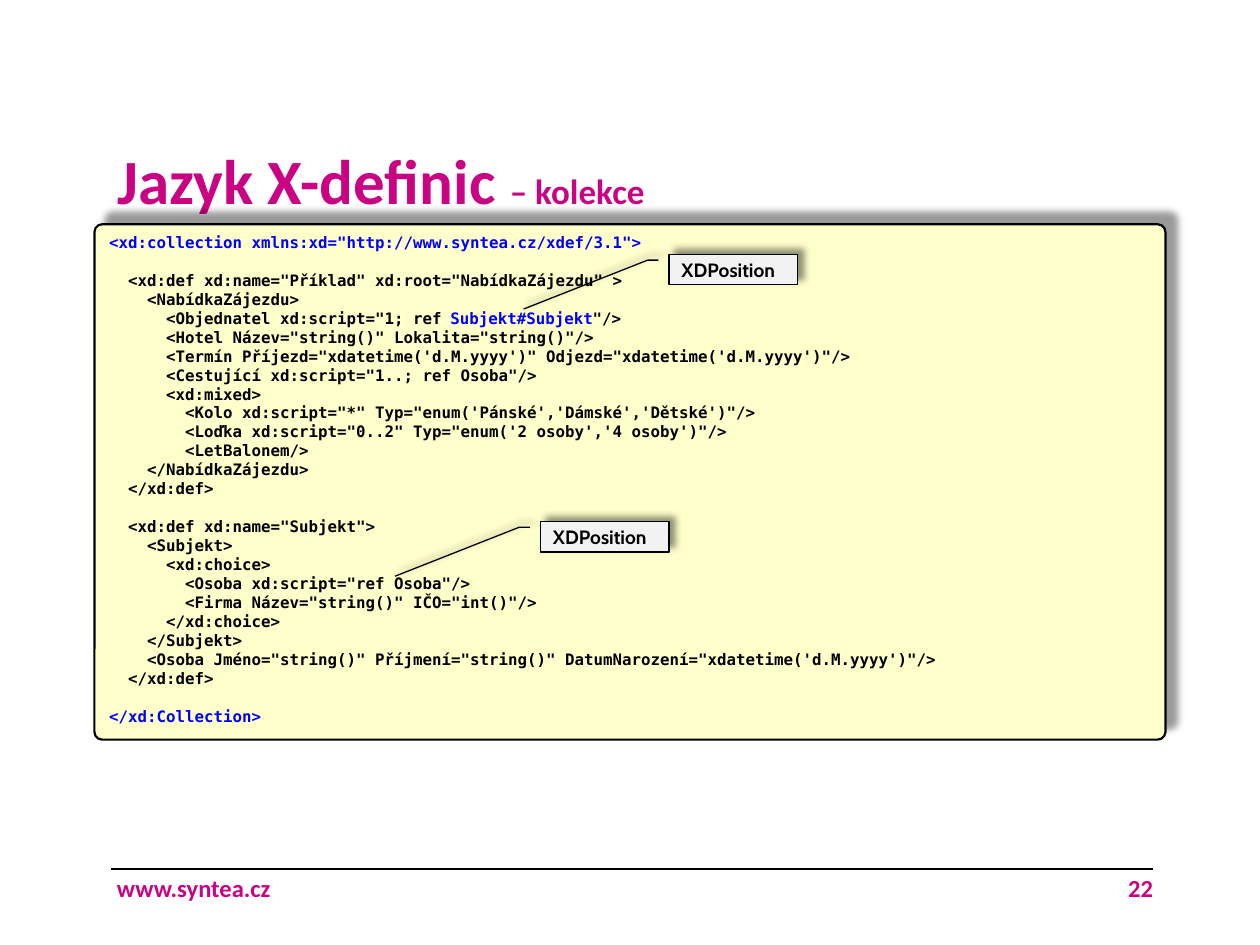
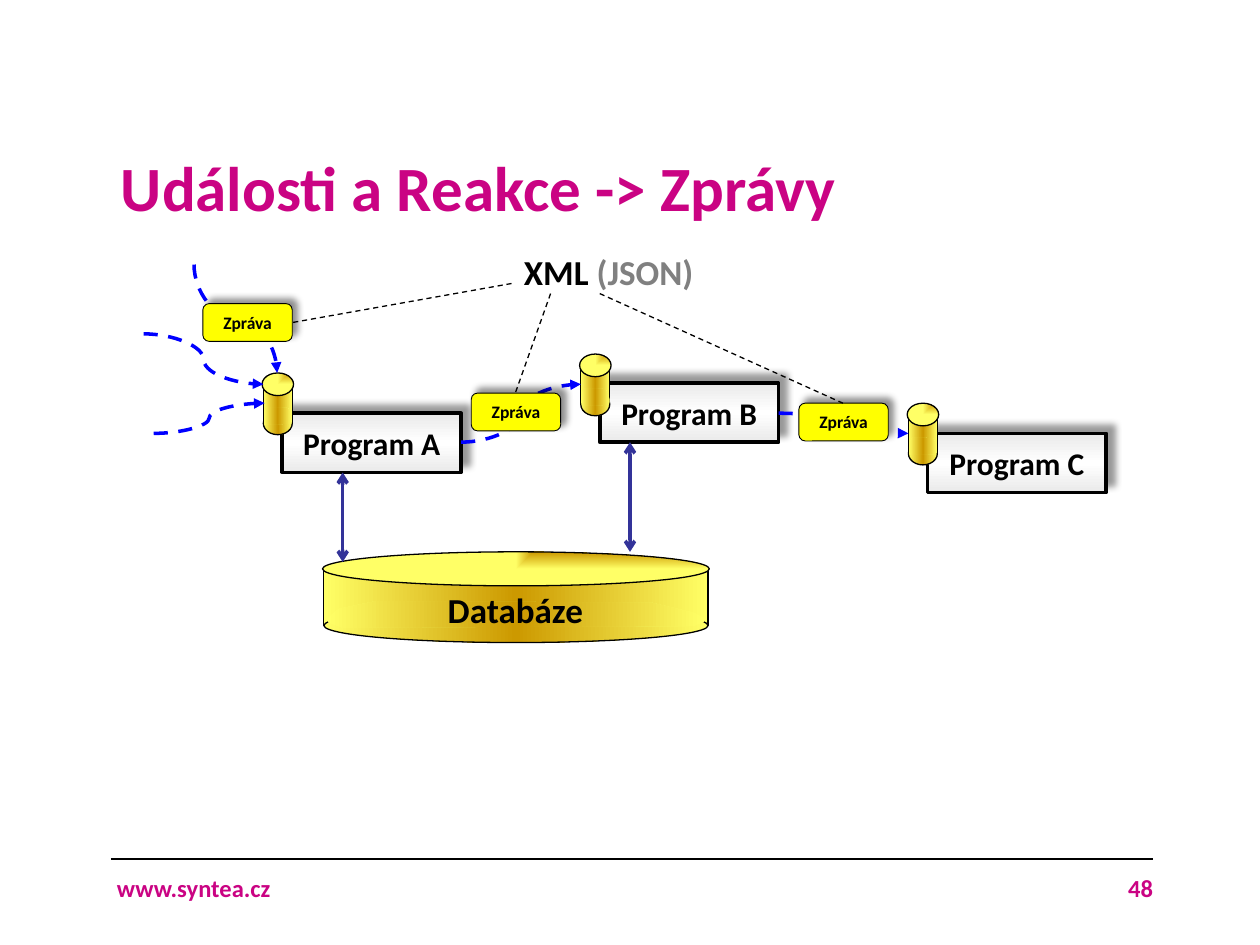
from pptx import Presentation
from pptx import util as u
from pptx.dml.color import RGBColor
from pptx.enum import dml, shapes, text
from pptx.oxml import parse_xml
from pptx.oxml.ns import nsdecls, qn

# Shared look
MAGENTA, BLACK, BLUE, GREY = "CA0383", "000000", "0000FF", "808080"
INDIGO, CREAM, YELLOW, PALE = "333399", "FFFFCC", "FFFF00", "F2F2F2"
SILVER = [(0, "EAEAEA"), (50, "FFFFFF"), (100, "EAEAEA")]
GOLD = [(0, "FFFF66"), (50, "CC9900"), (100, "FFFF66")]
LID = [(0, "CC9900"), (100, "FFFF66")]
FACE, CODE_FACE, LABEL_FACE = "Calibri", "DejaVu Sans Mono", "Cabin"
COLS, ROWS = 10, 7.5  # slide grid, one inch per cell
MARGINS = (0.1, 0.05, 0.1, 0.05)
SHAPE, ALIGN, ANCHOR = shapes.MSO_SHAPE, text.PP_ALIGN, text.MSO_ANCHOR

# Code listing, with a gap before each further block
OPENING = '<xd:collection xmlns:xd="http://www.syntea.cz/xdef/3.1">'
TRIP = """  <xd:def xd:name="Příklad" xd:root="NabídkaZájezdu" >
    <NabídkaZájezdu>
      <Objednatel xd:script="1; ref Subjekt#Subjekt"/>
      <Hotel Název="string()" Lokalita="string()"/>
      <Termín Příjezd="xdatetime('d.M.yyyy')" Odjezd="xdatetime('d.M.yyyy')"/>
      <Cestující xd:script="1..; ref Osoba"/>
      <xd:mixed>
        <Kolo xd:script="*" Typ="enum('Pánské','Dámské','Dětské')"/>
        <Loďka xd:script="0..2" Typ="enum('2 osoby','4 osoby')"/>
        <LetBalonem/>
    </NabídkaZájezdu>
  </xd:def>"""
SUBJECT = """  <xd:def xd:name="Subjekt">
    <Subjekt>
      <xd:choice>
        <Osoba xd:script="ref Osoba"/>
        <Firma Název="string()" IČO="int()"/>
      </xd:choice>
    </Subjekt>
    <Osoba Jméno="string()" Příjmení="string()" DatumNarození="xdatetime('d.M.yyyy')"/>
  </xd:def>"""
CLOSING = "</xd:Collection>"
BLUE_CODE = (OPENING, "Subjekt#Subjekt", CLOSING)

# Outline of the patch that hides a can's lower edge, as shares of its box
PATCH = [(0.03, 0.29), (0, 0.63), (0, 0.8), (0.04, 1), (0.97, 0.94), (1, 0.8),
         (1, 0.63), (0.97, 0.43), (0.86, 0.06), (0.13, 0)]


def rgb(color):
    return RGBColor.from_string(color)


def grid(*cells):
    return [u.Inches(c) for c in cells]


# Text
def style(font, size=None, color=None, face=None):
    font.bold = True
    if size:
        font.size = u.Pt(size)
    if color:
        font.color.rgb = rgb(color)
    if face:
        font.name = face


def write(p, parts, size, color=BLACK, face=FACE, align=ALIGN.LEFT):
    """Fill a paragraph with (text, own style) parts."""
    p.alignment = align
    style(p.font, size, color, face)
    for words, own in parts:
        r = p.add_run()
        r.text = words
        if own:
            style(r.font, **own)


def frame(sp, anchor=ANCHOR.TOP, margins=MARGINS):
    tf = sp.text_frame
    tf.word_wrap = True
    tf.auto_size = text.MSO_AUTO_SIZE.NONE
    tf.vertical_anchor = anchor
    tf.margin_left, tf.margin_top, tf.margin_right, tf.margin_bottom = grid(*margins)
    return tf


def add_text(slide, box, parts, size, color=BLACK, align=ALIGN.LEFT, anchor=ANCHOR.TOP):
    tf = frame(slide.shapes.add_textbox(*grid(*box)), anchor)
    write(tf.paragraphs[0], parts, size, color, align=align)


# Shapes
def fill_gradient(sp, stops, angle=None):
    """Linear gradient at an angle, or from the lower left corner without one."""
    gs = "".join(f'<a:gs pos="{pos * 1000}"><a:srgbClr val="{color}"/></a:gs>'
                 for pos, color in stops)
    if angle is None:
        way = '<a:path path="rect"><a:fillToRect l="100000" b="100000"/></a:path>'
    else:
        way = f'<a:lin ang="{angle * 60000}" scaled="0"/>'
    sp.fill.solid()
    spPr = sp._element.spPr
    spPr.replace(spPr.find(qn("a:solidFill")), parse_xml(
        f'<a:gradFill {nsdecls("a")} rotWithShape="1"><a:gsLst>{gs}</a:gsLst>{way}</a:gradFill>'))


def paint(sp, fill, line_width, angle=None):
    sp.shadow.inherit = False
    if isinstance(fill, str):
        sp.fill.solid()
        sp.fill.fore_color.rgb = rgb(fill)
    else:
        fill_gradient(sp, fill, angle)
    if line_width:
        sp.line.color.rgb = rgb(BLACK)
        sp.line.width = u.Pt(line_width)
    else:
        sp.line.fill.background()


def cast_shadow(sp, distance, opacity):
    """Shadow towards the upper right."""
    sp._element.spPr.find(qn("a:effectLst")).append(parse_xml(
        f'<a:outerShdw {nsdecls("a")} blurRad="{u.Pt(4)}" dist="{u.Pt(distance)}" '
        f'dir="18900000" algn="bl" rotWithShape="0"><a:srgbClr val="{BLACK}">'
        f'<a:alpha val="{opacity * 1000}"/></a:srgbClr></a:outerShdw>'))


def add_shape(parent, kind, box, fill, line_width, angle=None, adjust=()):
    sp = parent.shapes.add_shape(kind, *grid(*box))
    for i, value in enumerate(adjust):
        sp.adjustments[i] = value
    paint(sp, fill, line_width, angle)
    return sp


def add_can(slide, x, y, w, body, lid):
    """Cylinder: body, base, patch over the seam, and lid."""
    group = slide.shapes.add_group_shape()
    add_shape(group, SHAPE.RECTANGLE, (x, y + lid / 2, w, body), GOLD, 0.75, 0)
    add_shape(group, SHAPE.OVAL, (x, y + body, w, lid), GOLD, 0.75, 0)
    left, top = x + 0.01 * w, y + body - 0.22 * lid
    points = [grid(left + px * 0.98 * w, top + py * 0.78 * lid) for px, py in PATCH]
    builder = group.shapes.build_freeform(*points[0])
    builder.add_line_segments(points[1:], close=True)
    paint(builder.convert_to_shape(), GOLD, None, 0)
    add_shape(group, SHAPE.OVAL, (x - 0.01, y, w + 0.02, lid), LID, 0.75)


# Lines
def add_line(slide, start, end, color=BLACK, width=1.25, dashed=False,
             head=None, tail=None, kind=shapes.MSO_CONNECTOR.STRAIGHT):
    cn = slide.shapes.add_connector(kind, *grid(*start, *end))
    cn.line.color.rgb = rgb(color)
    cn.line.width = u.Pt(width)
    if dashed:
        cn.line.dash_style = dml.MSO_LINE.DASH
    ln = cn._element.spPr.find(qn("a:ln"))
    for tag, arrow in (("headEnd", head), ("tailEnd", tail)):
        if arrow:
            ln.append(parse_xml(f'<a:{tag} {nsdecls("a")} type="{arrow}"/>'))
    cn._element.spPr.append(parse_xml(f'<a:effectLst {nsdecls("a")}/>'))
    return cn


def add_flow(slide, start, end, downward=False):
    """Dashed curved arrow, leaving sideways or downward."""
    if downward:  # a quarter turn about the middle
        (x1, y1), (x2, y2) = start, end
        mx, my, dx, dy = (x1 + x2) / 2, (y1 + y2) / 2, (x2 - x1) / 2, (y2 - y1) / 2
        start, end = (mx + dy, my - dx), (mx - dy, my + dx)
    cn = add_line(slide, start, end, BLUE, 2, dashed=True, tail="triangle",
                  kind=shapes.MSO_CONNECTOR.CURVE)
    if downward:
        cn._element.spPr.find(qn("a:xfrm")).set("rot", "16200000")


# Parts that the slides share
def add_slide(prs, title_at, title, number, rule_y):
    slide = prs.slides.add_slide(prs.slide_layouts[5])
    sp = slide.shapes.title
    sp.left, sp.top, sp.width, sp.height = grid(*title_at, 8.59, 0.7)
    p = frame(sp, margins=(0.04, 0, 0.04, 0.04)).paragraphs[0]
    p.line_spacing = 1.2
    write(p, title, 36, MAGENTA)
    add_line(slide, (0.88, rule_y), (9.15, rule_y))
    for x, w, words, align in ((0.83, 7.48, "www.syntea.cz", ALIGN.LEFT),
                               (8.31, 0.94, number, ALIGN.RIGHT)):
        add_text(slide, (x, 6.59, w, 0.91), [(words, {})], 14, MAGENTA, align, ANCHOR.MIDDLE)
    return slide


# Slide with the code listing
def code_parts(line):
    for blue in BLUE_CODE:
        if blue in line:
            before, _, after = line.partition(blue)
            parts = [(before, {}), (blue, {"color": BLUE}), (after, {})]
            return [part for part in parts if part[0]]
    return [(line, {})]


def add_listing(slide):
    sp = add_shape(slide, SHAPE.ROUNDED_RECTANGLE, (0.75, 1.78, 8.5, 4.09), CREAM, 1.25,
                   adjust=[0.015])
    cast_shadow(sp, 9, 40)
    tf = frame(sp)
    p = tf.paragraphs[0]
    write(p, code_parts(OPENING), 9, face=CODE_FACE)
    for block in (TRIP, SUBJECT, CLOSING):
        for i, line in enumerate(block.splitlines()):
            p = tf.add_paragraph()
            p.space_before = u.Pt(0 if i else 10.8)
            write(p, code_parts(line), 9, face=CODE_FACE)


def add_callout(slide, x, y):
    sp = add_shape(slide, SHAPE.LINE_CALLOUT_2, (x, y, 1.02, 0.24), PALE, 0.75,
                   adjust=[0.188, -0.083, 0.188, -0.167, 1.804, -1.132])
    cast_shadow(sp, 4, 43)
    write(frame(sp, ANCHOR.MIDDLE).paragraphs[0], [("XDPosition", {})], 11, face=LABEL_FACE)


# Slide with the message flow
def add_program(slide, name, x, y, queue_y):
    sp = add_shape(slide, SHAPE.RECTANGLE, (x, y, 1.42, 0.47), SILVER, 2, 90)
    cast_shadow(sp, 6, 40)
    write(frame(sp, ANCHOR.MIDDLE).paragraphs[0], [(f"Program {name}", {})], 18,
          align=ALIGN.CENTER)
    add_can(slide, x - 0.15, queue_y, 0.23, 0.31, 0.18)


def add_message(slide, x, y):
    sp = add_shape(slide, SHAPE.ROUNDED_RECTANGLE, (x, y, 0.71, 0.3), YELLOW, 0.5)
    cast_shadow(sp, 4, 43)
    write(frame(sp).paragraphs[0], [("Zpráva", {})], 10, align=ALIGN.CENTER)


def main():
    prs = Presentation()
    prs.slide_width, prs.slide_height = grid(COLS, ROWS)

    # Collection of X-definitions
    slide = add_slide(prs, (0.89, 1), [("Jazyk X-definic ", {}), ("– kolekce", {"size": 20})],
                      "22", 6.9)
    add_listing(slide)
    for x, y in ((5.31, 2.02), (4.29, 4.14)):
        add_callout(slide, x, y)

    # Programs, messages and database
    slide = add_slide(prs, (0.92, 1.06), [("Události a Reakce -> Zprávy", {})], "48", 6.82)
    for name, x, y, queue_y in (("A", 2.24, 3.28, 2.96), ("B", 4.76, 3.04, 2.81),
                                ("C", 7.36, 3.44, 3.2)):
        add_program(slide, name, x, y, queue_y)
    for start, end in (((1.14, 2.65), (2.09, 3.05)), ((1.22, 3.44), (2.1, 3.2)),
                       ((3.66, 3.51), (4.61, 3.05)), ((6.18, 3.28), (7.21, 3.44))):
        add_flow(slide, start, end)
    add_flow(slide, (1.54, 2.1), (2.2, 2.96), downward=True)
    add_can(slide, 2.57, 4.38, 3.05, 0.45, 0.27)
    add_text(slide, (2.95, 4.62, 2.28, 0.44), [("Databáze", {})], 20, align=ALIGN.CENTER)
    for x, top, bottom in ((2.72, 3.75, 4.46), (5, 3.51, 4.38)):
        add_line(slide, (x, top), (x, bottom), INDIGO, 2, head="arrow", tail="arrow")
    for x, y in ((1.61, 2.41), (3.74, 3.12), (6.34, 3.2)):
        add_message(slide, x, y)
    for start, end in (((4.06, 2.25), (2.32, 2.56)), ((4.37, 2.33), (4.09, 3.12)),
                       ((4.76, 2.33), (6.69, 3.2))):
        add_line(slide, start, end, width=0.75, dashed=True)
    add_text(slide, (4.06, 1.94, 2.2, 0.44), [("XML ", {}), ("(JSON)", {"color": GREY})], 20)

    prs.save("out.pptx")


if __name__ == "__main__":
    main()
